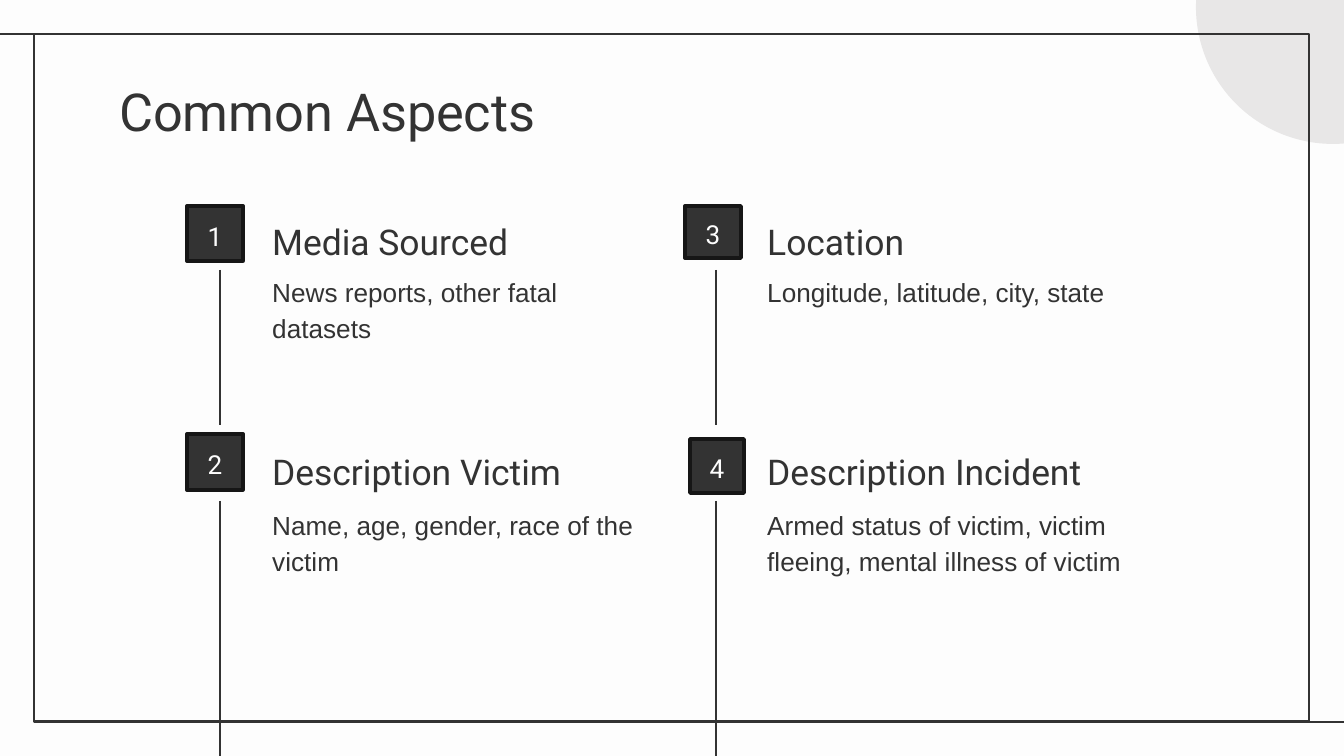
from dataclasses import dataclass

from lxml import etree
from pptx import Presentation
from pptx.dml.color import RGBColor
from pptx.enum.shapes import MSO_CONNECTOR, MSO_SHAPE
from pptx.enum.text import MSO_ANCHOR, PP_ALIGN
from pptx.oxml.ns import qn
from pptx.shapes.autoshape import Shape
from pptx.shapes.connector import Connector
from pptx.util import Emu, Inches, Pt

RECT, OVAL = MSO_SHAPE.RECTANGLE, MSO_SHAPE.OVAL
STRAIGHT = MSO_CONNECTOR.STRAIGHT
TOP, MIDDLE, BOTTOM = MSO_ANCHOR.TOP, MSO_ANCHOR.MIDDLE, MSO_ANCHOR.BOTTOM
LEFT, CENTER = PP_ALIGN.LEFT, PP_ALIGN.CENTER

PAPER = RGBColor(0xFD, 0xFD, 0xFD)
INK = RGBColor(0x33, 0x33, 0x33)
EDGE = RGBColor(0x16, 0x16, 0x16)
GRAY = RGBColor(0xE8, 0xE7, 0xE7)

WIDE, HIGH = 1344, 756
SCALE = 914400 / 134.4


@dataclass(frozen=True)
class Box:
    x: int
    y: int
    w: int
    h: int


@dataclass(frozen=True)
class Style:
    size: int
    face: str
    color: RGBColor = INK
    anchor: MSO_ANCHOR = TOP
    align: PP_ALIGN = LEFT
    space: float = 1.15


@dataclass(frozen=True)
class Aspect:
    col: int
    row: int
    head: str
    body: str
    badge: Box


TITLE = Style(28, "Roboto", space=1.0)
HEAD = Style(19, "Roboto", anchor=BOTTOM)
BODY = Style(14, "Arial")
NUMBER = Style(14, "Roboto", PAPER, MIDDLE, CENTER)

TEXT_X = (259, 754)
HEAD_Y = (224, 454)
BODY_Y = (258, 491)
RAIL_X = (220, 716)
RAIL_Y = ((270, 425), (501, HIGH))

ASPECTS = (
    Aspect(0, 0, "Media Sourced", "News reports, other fatal datasets",
           Box(187, 206, 56, 55)),
    Aspect(0, 1, "Description Victim", "Name, age, gender, race of the victim",
           Box(187, 434, 56, 56)),
    Aspect(1, 0, "Location", "Longitude, latitude, city, state",
           Box(685, 206, 56, 52)),
    Aspect(1, 1, "Description Incident",
           "Armed status of victim, victim fleeing, mental illness of victim",
           Box(690, 439, 54, 54)),
)

deck = Presentation()


def px(count: int) -> Emu:
    return Emu(round(count * SCALE))


def place(box: Box) -> tuple[Emu, Emu, Emu, Emu]:
    return px(box.x), px(box.y), px(box.w), px(box.h)


deck.slide_width, deck.slide_height = px(WIDE), px(HIGH)
slide = deck.slides.add_slide(deck.slide_layouts[6])
slide.background.fill.solid()
slide.background.fill.fore_color.rgb = PAPER


def draw(kind: MSO_SHAPE, box: Box, fill: RGBColor | None = None,
         line: RGBColor | None = None, width: float = 1.5) -> Shape:
    shape = slide.shapes.add_shape(kind, *place(box))
    shape.shadow.inherit = False
    if fill is None:
        shape.fill.background()
    else:
        shape.fill.solid()
        shape.fill.fore_color.rgb = fill
    if line is None:
        shape.line.fill.background()
    else:
        shape.line.color.rgb = line
        shape.line.width = Pt(width)
    return shape


def rule(x1: int, y1: int, x2: int, y2: int) -> Connector:
    line = slide.shapes.add_connector(STRAIGHT, px(x1), px(y1), px(x2), px(y2))
    line.line.color.rgb = INK
    line.line.width = Pt(1.5)
    etree.SubElement(line._element.spPr, qn("a:effectLst"))
    return line


def fill_text(shape: Shape, text: str, style: Style) -> None:
    frame = shape.text_frame
    frame.word_wrap = True
    frame.vertical_anchor = style.anchor
    frame.margin_left = frame.margin_right = Inches(0.1)
    frame.margin_top = frame.margin_bottom = Inches(0.1)
    para = frame.paragraphs[0]
    para.text = text
    para.alignment = style.align
    para.line_spacing = style.space
    para.font.size = Pt(style.size)
    para.font.name = style.face
    para.font.color.rgb = style.color


def write(box: Box, text: str, style: Style) -> None:
    fill_text(slide.shapes.add_textbox(*place(box)), text, style)


draw(OVAL, Box(1196, -130, 274, 274), GRAY)
draw(RECT, Box(34, 34, 1275, 688), line=INK)
rule(34, 34, 0, 34)
rule(WIDE, 722, 1309, 722)
pad = draw(RECT, Box(182, 195, 76, 75), PAPER)
write(Box(106, 66, 1133, 84), "Common Aspects", TITLE)

for number, item in enumerate(ASPECTS, 1):
    left, rail = TEXT_X[item.col], RAIL_X[item.col]
    start, end = RAIL_Y[item.row]
    write(Box(left, BODY_Y[item.row], 395, 134), item.body, BODY)
    write(Box(left, HEAD_Y[item.row], 395, 52), item.head, HEAD)
    line = rule(rail, start, rail, end)
    if number == 1:
        line.begin_connect(pad, 2)
    badge = draw(RECT, item.badge, INK, EDGE, 2)
    fill_text(badge, str(number), NUMBER)

deck.save("out.pptx")
